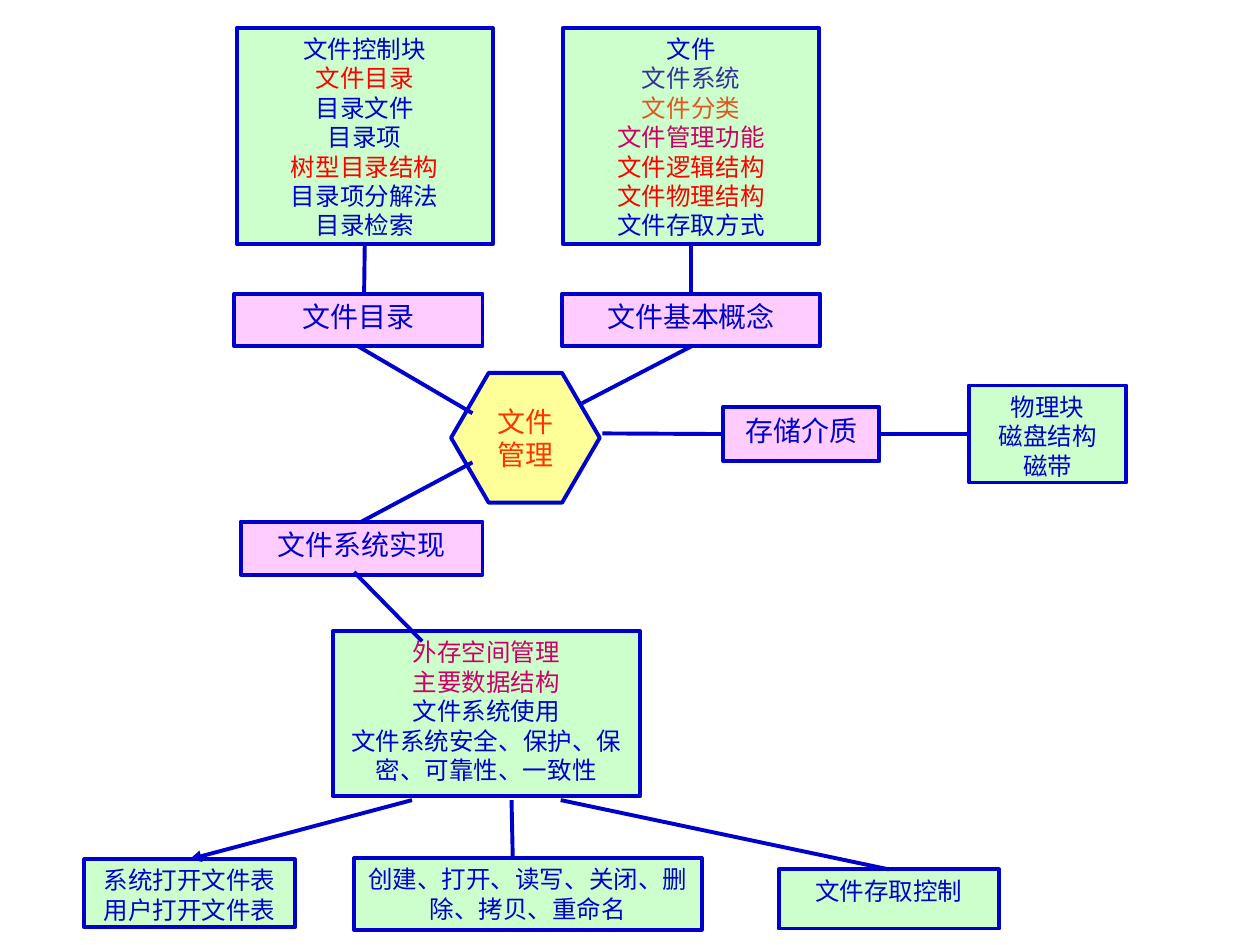
"""Build a concept map of file management on one slide."""
from lxml.etree import SubElement
from pptx import Presentation
from pptx.dml.color import RGBColor
from pptx.enum.shapes import MSO_CONNECTOR, MSO_SHAPE
from pptx.enum.text import MSO_ANCHOR, PP_ALIGN
from pptx.oxml.ns import qn
from pptx.util import Inches, Pt

COLORS = {
    "blue": "0000CC", "red": "FF0000", "indigo": "333399", "rust": "DF5721",
    "crimson": "CC0066", "orange": "FF3300", "green": "CCFFCC",
    "pink": "FFCCFF", "yellow": "FFFF99",
}
FONT = "Noto Sans CJK SC"
TOP, LEFT, BOTTOM, RIGHT = 0, 1, 2, 3


def color(name):
    """Return the named colour."""
    return RGBColor.from_string(COLORS[name])


def apply_format(target, values):
    """Set each format value on the target."""
    for name, value in values.items():
        setattr(target, name, value)


class ConceptMap:
    """Style and current slide of the map."""

    frame_format = {
        "word_wrap": True, "vertical_anchor": MSO_ANCHOR.TOP,
        "margin_left": Inches(0.1), "margin_right": Inches(0.1),
        "margin_top": Inches(0.05), "margin_bottom": Inches(0.05),
    }

    def __init__(self, slide):
        self.slide = slide

    def outline(self, line):
        """Give a line the common colour and width."""
        line.color.rgb = color("blue")
        line.width = Pt(2.25)

    def fill_text(self, shape, entries, size, frame_changes):
        """Add one centred paragraph for each (text, colour) entry."""
        frame = shape.text_frame
        apply_format(frame, {**self.frame_format, **frame_changes})
        for index, (text, ink) in enumerate(entries):
            paragraph = frame.add_paragraph() if index else frame.paragraphs[0]
            apply_format(paragraph, {"alignment": PP_ALIGN.CENTER,
                                     "line_spacing": Pt(size * 1.2)})
            run = paragraph.add_run()
            run.text = text
            apply_format(run.font, {"size": Pt(size), "name": FONT})
            run.font.color.rgb = color(ink)
            SubElement(run.font._element, qn("a:ea"), typeface=FONT)

    def node(self, place, fill, entries, size, preset=MSO_SHAPE.RECTANGLE, **frame_changes):
        """Add a filled shape with its entries."""
        shape = self.slide.shapes.add_shape(preset, *map(Inches, place))
        shape.shadow.inherit = False
        shape.fill.solid()
        shape.fill.fore_color.rgb = color(fill)
        self.outline(shape.line)
        self.fill_text(shape, entries, size, frame_changes)
        return shape

    def details(self, place, *entries):
        """Add a green list; plain strings are blue."""
        pairs = [(e, "blue") if isinstance(e, str) else e for e in entries]
        return self.node(place, "green", pairs, 14)

    def topic(self, place, text):
        """Add a pink heading box."""
        return self.node(place, "pink", [(text, "blue")], 16)

    def hub(self, place, *lines):
        """Add the central hexagon."""
        hexagon = self.node(place, "yellow", [(text, "orange") for text in lines], 16,
                            MSO_SHAPE.HEXAGON, vertical_anchor=MSO_ANCHOR.MIDDLE,
                            margin_left=0, margin_right=0)
        hexagon.adjustments[0] = 0.29
        return hexagon

    def link(self, start, end, arrow=False):
        """Join two ends, each a point or a (shape, side) pair."""
        ends = [(0, 0) if hasattr(e[0], "shape_id") else e for e in (start, end)]
        connector = self.slide.shapes.add_connector(
            MSO_CONNECTOR.STRAIGHT, *(Inches(v) for point in ends for v in point))
        for join, target in ((connector.begin_connect, start), (connector.end_connect, end)):
            if hasattr(target[0], "shape_id"):
                join(*target)
        self.outline(connector.line)
        properties = connector._element.spPr
        if arrow:
            SubElement(properties.find(qn("a:ln")), qn("a:tailEnd"), type="triangle")
        SubElement(properties, qn("a:effectLst"))


def main():
    """Build and save the slide."""
    deck = Presentation()
    deck.slide_width, deck.slide_height = Inches(10), Inches(7.5)
    chart = ConceptMap(deck.slides.add_slide(deck.slide_layouts[6]))

    directory_terms = chart.details(
        (1.88, 0.22, 2.03, 1.72), "文件控制块", ("文件目录", "red"), "目录文件", "目录项",
        ("树型目录结构", "red"), "目录项分解法", "目录检索")
    concept_terms = chart.details(
        (4.47, 0.22, 2.03, 1.72), "文件", ("文件系统", "indigo"), ("文件分类", "rust"),
        ("文件管理功能", "crimson"), ("文件逻辑结构", "red"), ("文件物理结构", "red"),
        "文件存取方式")
    chart.details(
        (2.64, 5.01, 2.44, 1.31), ("外存空间管理", "crimson"), ("主要数据结构", "crimson"),
        "文件系统使用", "文件系统安全、保护、保密、可靠性、一致性")
    open_tables = chart.details((0.67, 6.82, 1.67, 0.54), "系统打开文件表", "用户打开文件表")
    media_terms = chart.details((7.69, 3.06, 1.25, 0.77), "物理块", "磁盘结构", "磁带")
    chart.details((2.81, 6.81, 2.76, 0.57), "创建、打开、读写、关闭、删除、拷贝、重命名")
    access_control = chart.details((6.18, 6.9, 1.75, 0.47), "文件存取控制")

    directory = chart.topic((1.86, 2.33, 1.97, 0.42), "文件目录")
    concepts = chart.topic((4.46, 2.33, 2.05, 0.42), "文件基本概念")
    implementation = chart.topic((1.91, 4.14, 1.92, 0.42), "文件系统实现")
    media = chart.topic((5.74, 3.23, 1.24, 0.43), "存储介质")
    chart.hub((3.58, 2.96, 1.18, 1.03), "文件", "管理")

    chart.link((directory, BOTTOM), (3.75, 3.28))
    chart.link((concepts, BOTTOM), (4.62, 3.2))
    chart.link((implementation, TOP), (3.75, 3.67))
    chart.link((4.78, 3.44), (media, LEFT))
    chart.link((concept_terms, BOTTOM), (concepts, TOP))
    chart.link((directory_terms, BOTTOM), (2.89, 2.33))
    chart.link((media, RIGHT), (media_terms, LEFT))
    chart.link((2.81, 4.54), (3.35, 5.09))
    chart.link((3.27, 6.35), (open_tables, TOP), arrow=True)
    chart.link((4.06, 6.35), (4.07, 6.82))
    chart.link((4.45, 6.35), (access_control, TOP))

    deck.save("out.pptx")


if __name__ == "__main__":
    main()
